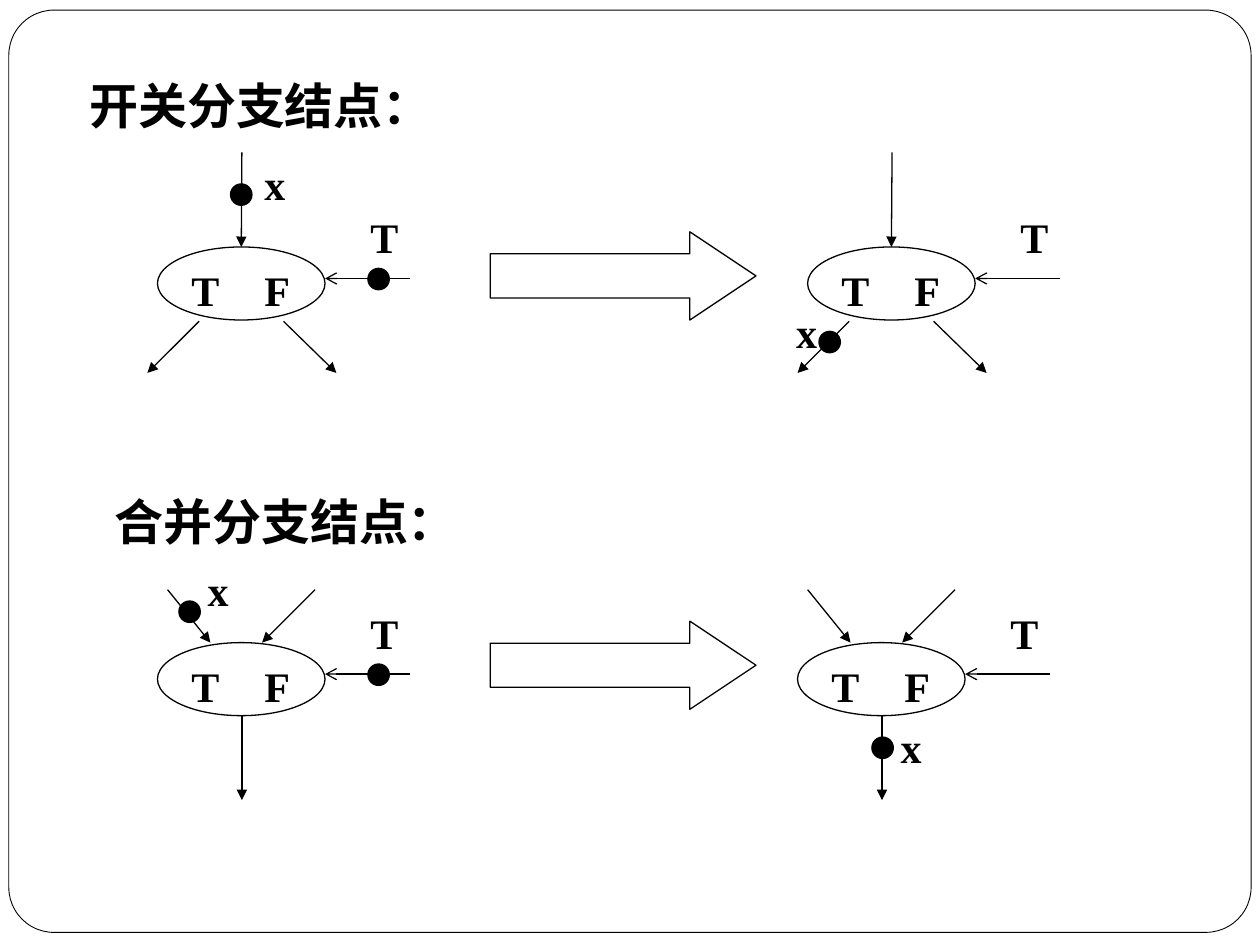
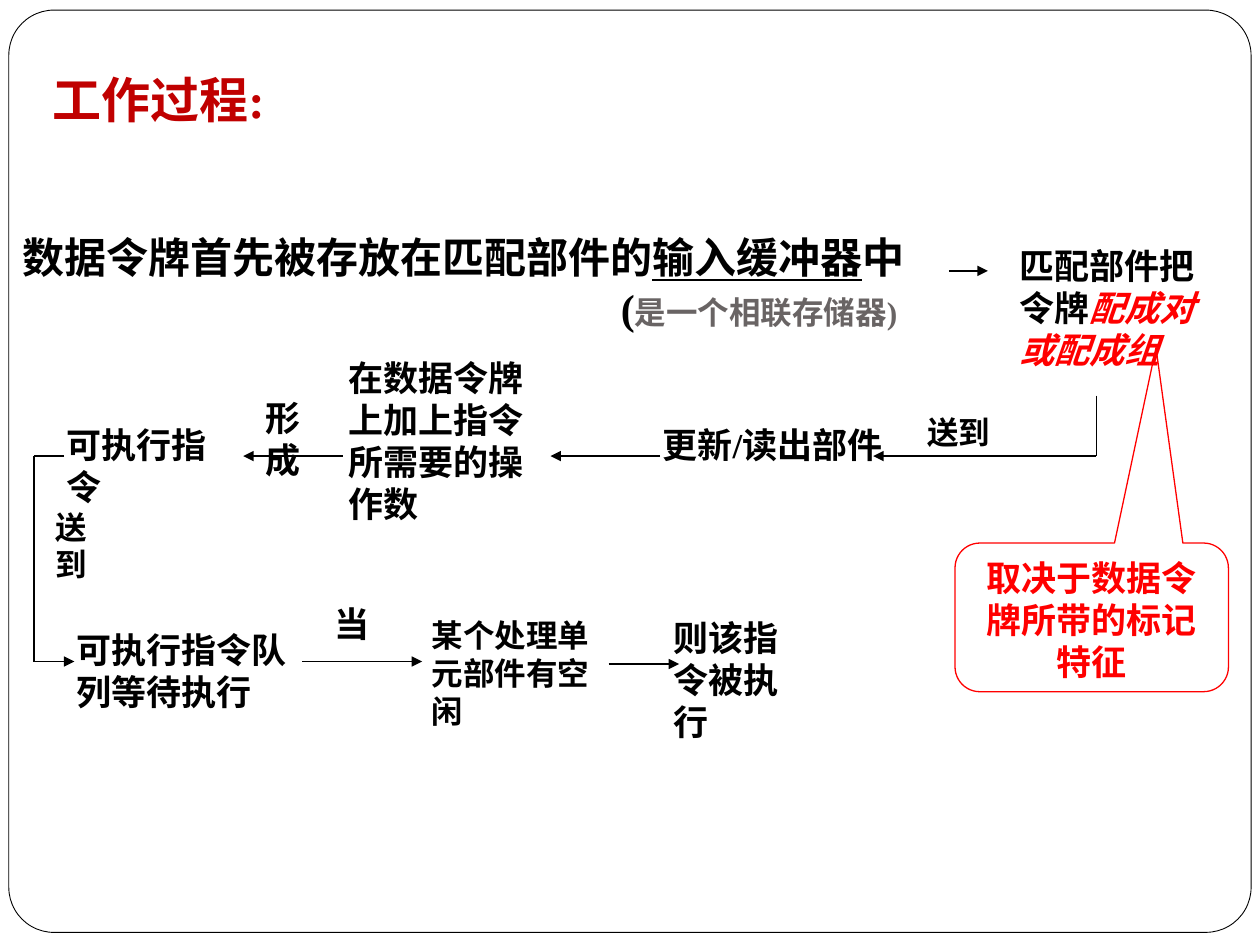
from lxml import etree
from pptx import Presentation
from pptx.dml.color import RGBColor
from pptx.enum.shapes import MSO_CONNECTOR, MSO_SHAPE
from pptx.enum.text import MSO_ANCHOR, MSO_AUTO_SIZE, PP_ALIGN
from pptx.oxml.ns import qn
from pptx.util import Inches, Pt

BLACK = RGBColor(0x00, 0x00, 0x00)
WHITE = RGBColor(0xFF, 0xFF, 0xFF)
RED = RGBColor(0xFF, 0x00, 0x00)
DARK_RED = RGBColor(0xC0, 0x00, 0x00)
GRAY = RGBColor(0x69, 0x64, 0x64)
FONT = "Times New Roman"

STRAIGHT = MSO_CONNECTOR.STRAIGHT
ROUND_RECT = MSO_SHAPE.ROUNDED_RECTANGLE
ELLIPSE = MSO_SHAPE.OVAL
BLOCK_ARROW = MSO_SHAPE.RIGHT_ARROW
CALLOUT = MSO_SHAPE.ROUNDED_RECTANGULAR_CALLOUT
TOP = MSO_ANCHOR.TOP
LEFT, CENTER = PP_ALIGN.LEFT, PP_ALIGN.CENTER
GROW = MSO_AUTO_SIZE.SHAPE_TO_FIT_TEXT


def write_text(tf, paragraphs, size=20, color=BLACK, align=LEFT, indents=()):
    """Fill a frame; a paragraph is a string or a list of (text, overrides)."""
    if isinstance(paragraphs, str):
        paragraphs = [paragraphs]
    for i, runs in enumerate(paragraphs):
        p = tf.paragraphs[0] if i == 0 else tf.add_paragraph()
        p.alignment = align
        if i < len(indents):
            p._p.get_or_add_pPr().set("marL", str(Inches(indents[i])))
        for text, style in [(runs, {})] if isinstance(runs, str) else runs:
            r = p.add_run()
            r.text = text
            r.font.name = FONT
            r.font.bold = True
            r.font.size = Pt(style.get("size", size))
            r.font.color.rgb = style.get("color", color)
            if style.get("italic"):
                r.font.italic = True
            if style.get("underline"):
                r.font.underline = True


class Deck:
    def __init__(self):
        self.prs = Presentation()
        self.prs.slide_width, self.prs.slide_height = Inches(10), Inches(7.5)
        self.s = None

    def new_slide(self):
        self.s = self.prs.slides.add_slide(self.prs.slide_layouts[6])
        self.shape(ROUND_RECT, 0.07, 0.08, 9.86, 7.32, adj=[0.049], weight=0.5)

    def shape(self, kind, x, y, w, h, fill=WHITE, line=BLACK, weight=0.75, adj=()):
        sp = self.s.shapes.add_shape(kind, Inches(x), Inches(y), Inches(w), Inches(h))
        sp.shadow.inherit = False
        if fill is None:
            sp.fill.background()
        else:
            sp.fill.solid()
            sp.fill.fore_color.rgb = fill
        sp.line.color.rgb = line
        sp.line.width = Pt(weight)
        for i, value in enumerate(adj):
            sp.adjustments[i] = value
        return sp

    def text(self, x, y, w, h, paragraphs, wrap=True, **style):
        sp = self.s.shapes.add_textbox(Inches(x), Inches(y), Inches(w), Inches(h))
        tf = sp.text_frame
        tf.word_wrap = wrap
        tf.auto_size = GROW
        write_text(tf, paragraphs, **style)

    def title(self, x, y, w, text, color=BLACK):
        self.text(x, y, w, 0.57, text, wrap=False, size=28, color=color)

    def letter(self, x, y, char, w=0.42):
        self.text(x, y, w, 0.5, char, wrap=False, size=24)

    def token(self, x, y):
        self.shape(ELLIPSE, x, y, 0.17, 0.17, fill=BLACK)

    def arrow(self, *points, head="triangle"):
        """Join the points with straight lines, the last one with a head."""
        for i, (start, end) in enumerate(zip(points, points[1:]), 2):
            c = self.s.shapes.add_connector(STRAIGHT, *map(Inches, start + end))
            c.line.color.rgb = BLACK
            c.line.width = Pt(0.75)
            if i == len(points):
                etree.SubElement(c.line._get_or_add_ln(), qn("a:tailEnd"), type=head)
            etree.SubElement(c._element.spPr, qn("a:effectLst"))
        return c

    def node(self, x, y, arrows, token, label, control_token):
        """Draw a T/F node; arrows, token and label are offsets from its corner."""
        body = self.shape(ELLIPSE, x, y, 1.33, 0.58)
        for x1, y1, x2, y2 in arrows:
            c = self.arrow((x + x1, y + y1), (x + x2, y + y2))
            if (x2, y2) == NODE_TOP:
                c.end_connect(body, 0)
        self.arrow((x + 2, y + 0.25), (x + 1.33, y + 0.25), head="arrow")
        self.token(x + token[0], y + token[1])
        if control_token:
            self.token(x + 1.67, y + 0.17)
        self.letter(x + label[0], y + label[1], "x", w=0.36)
        self.letter(x + 0.17, y + 0.09, "T")
        self.letter(x + 0.75, y + 0.09, "F", w=0.4)
        self.letter(x + 1.59, y - 0.33, "T")


NODE_TOP = (0.67, 0)
SWITCH_ARROWS = [(0.67, -0.75) + NODE_TOP, (0.33, 0.59, -0.08, 1), (1, 0.59, 1.42, 1)]
MERGE_ARROWS = [(0.08, -0.42, 0.42, 0), (1.25, -0.42, 0.83, 0), (0.67, 0.58, 0.67, 1.25)]


def branch_nodes(deck):
    deck.new_slide()
    deck.title(0.61, 0.55, 2.92, "开关分支结点：")
    deck.title(0.81, 3.85, 2.9, "合并分支结点：")
    for y in (1.84, 4.93):
        deck.shape(BLOCK_ARROW, 3.89, y, 2.11, 0.7, adj=[0.5, 0.75])
    deck.node(1.25, 1.96, SWITCH_ARROWS, (0.58, -0.5), (0.75, -0.75), True)
    deck.node(6.41, 1.96, SWITCH_ARROWS, (0.09, 0.67), (-0.19, 0.42), False)
    deck.node(1.25, 5.1, MERGE_ARROWS, (0.17, -0.33), (0.3, -0.67), True)
    deck.node(6.33, 5.1, MERGE_ARROWS, (0.59, 0.75), (0.72, 0.58), False)


def working_process(deck):
    deck.new_slide()
    deck.text(0.08, 1.79, 8.05, 0.9, [
        [("数据令牌首先被存放在匹配部件的", {}),
         ("输入缓冲器", {"underline": True}), ("中", {})],
        [("(", {}), ("是一个相联存储器)", {"size": 18, "color": GRAY})],
    ], size=24, indents=(0, 4.75))
    deck.text(7.99, 1.89, 1.73, 1.1, [
        [("匹配部件把令牌", {}), ("配成对或配成组", {"color": RED, "italic": True})]])

    upper, lower = 3.62, 5.25
    deck.arrow((7.53, 2.15), (7.84, 2.15))
    deck.arrow((8.7, 3.14), (8.7, upper), (6.93, upper))
    deck.arrow((5.24, upper), (4.37, upper))
    deck.arrow((2.72, upper), (1.93, upper))
    deck.arrow((0.51, upper), (0.27, upper), (0.27, lower), (0.59, lower))
    deck.arrow((2.4, lower), (3.35, lower))
    deck.arrow((4.83, 5.27), (5.39, 5.27))

    for x, y, w, h, step in [
        (5.16, 3.31, 2.36, 0.44, "更新/读出部件"),
        (2.67, 2.78, 1.73, 1.44, "在数据令牌上加上指令所需要的操作数"),
        (2.01, 3.1, 0.71, 0.77, "形成"),
        (0.43, 3.31, 1.5, 0.77, "可执行指令"),
        (0.51, 4.94, 1.97, 0.77, "可执行指令队列等待执行"),
        (2.56, 4.73, 0.71, 0.44, "当"),
        (5.25, 4.84, 1.26, 1.1, "则该指令被执行"),
    ]:
        deck.text(x, y, w, h, step)
    deck.text(3.33, 4.84, 1.67, 1, "某个处理单元部件有空闲", size=18)
    deck.text(7.26, 3.23, 0.7, 0.4, "送到", wrap=False, size=18)
    deck.text(0.34, 3.98, 0.45, 0.7, ["送", "到"], wrap=False, size=18)

    note = deck.shape(CALLOUT, 7.58, 4.31, 2.17, 1.18, fill=None, line=RED,
                      adj=[0.235, -1.814, 0.167])
    note.text_frame.word_wrap = True
    note.text_frame.vertical_anchor = TOP
    write_text(note.text_frame, "取决于数据令牌所带的标记特征", color=RED, align=CENTER)
    deck.title(0.32, 0.5, 2.07, "工作过程:", color=DARK_RED)


def main():
    deck = Deck()
    branch_nodes(deck)
    working_process(deck)
    deck.prs.save("out.pptx")


if __name__ == "__main__":
    main()
